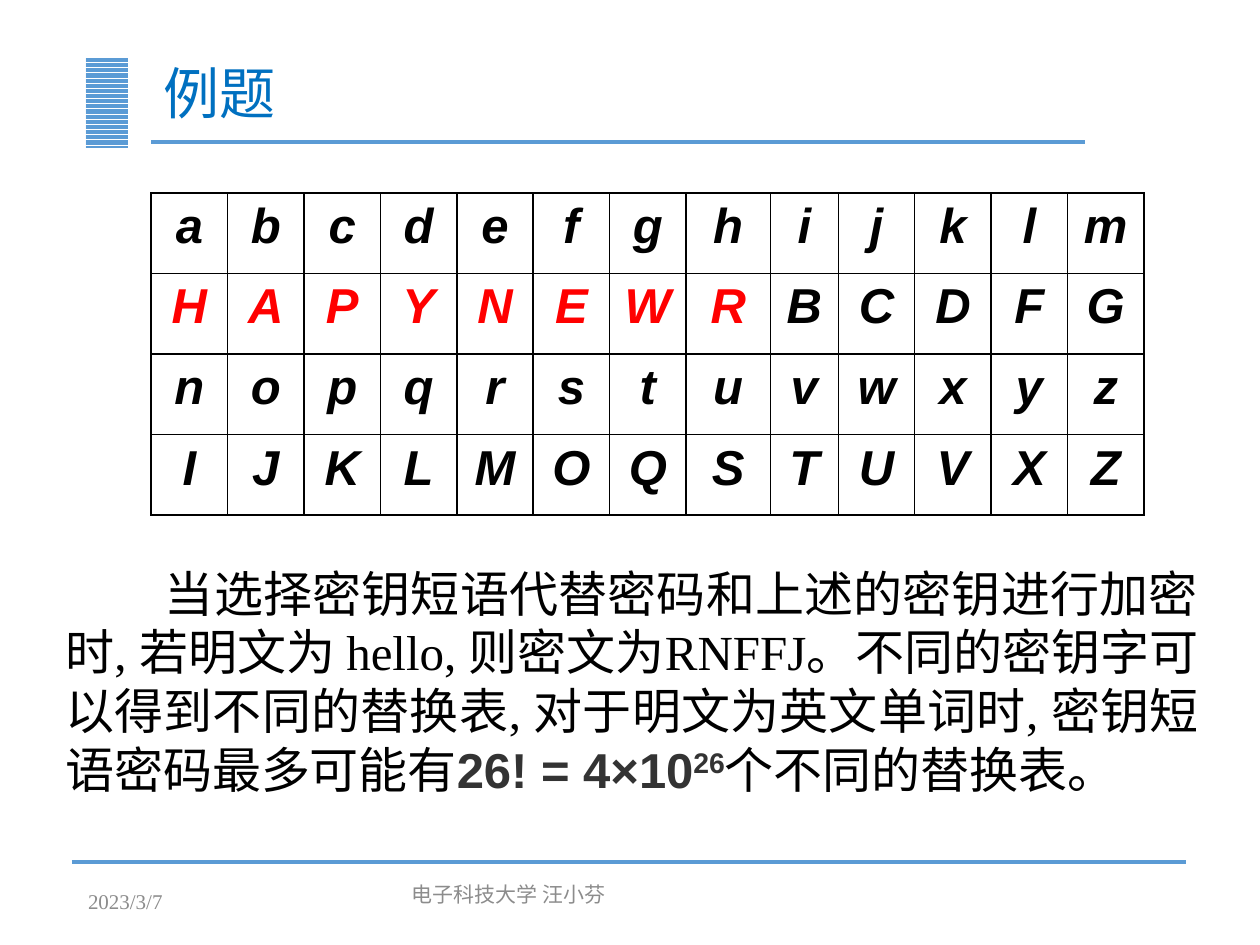
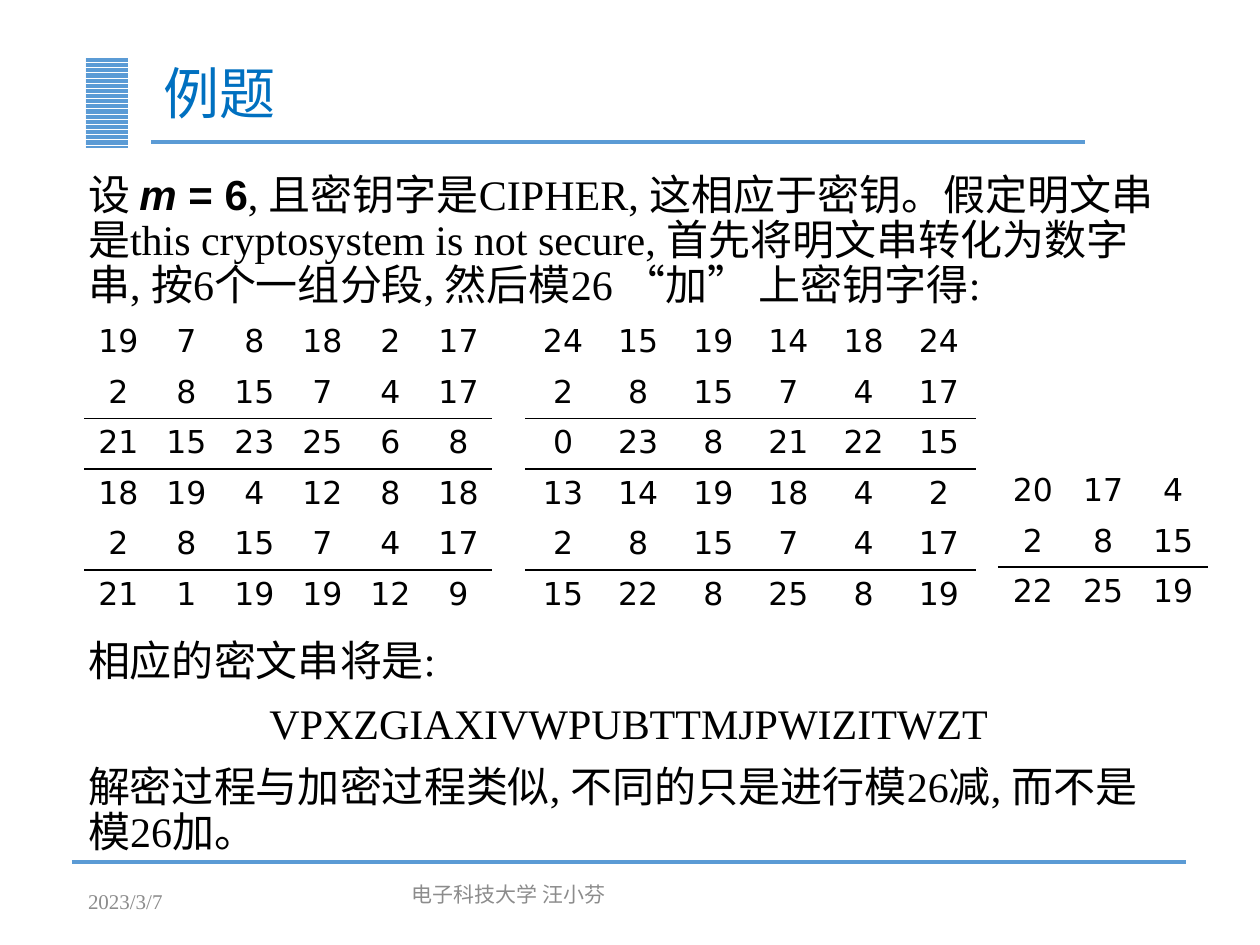
from dataclasses import dataclass, field
from typing import NamedTuple

from lxml import etree
from pptx import Presentation
from pptx.dml.color import RGBColor
from pptx.enum.dml import MSO_PATTERN
from pptx.enum.shapes import MSO_CONNECTOR, MSO_SHAPE
from pptx.enum.text import MSO_ANCHOR, PP_ALIGN
from pptx.oxml.ns import qn
from pptx.util import Inches, Pt

# Colours
BLUE = RGBColor(0x5B, 0x9B, 0xD5)
TITLE = RGBColor(0x00, 0x70, 0xC0)
GREY = RGBColor(0x8C, 0x8C, 0x8C)
DARK = RGBColor(0x33, 0x33, 0x33)
RED = RGBColor(0xFF, 0x00, 0x00)
BLACK = RGBColor(0x00, 0x00, 0x00)
WHITE = RGBColor(0xFF, 0xFF, 0xFF)

# Fonts and enum members
SERIF, SANS, DEJAVU, CJK = "Times New Roman", "Arial", "DejaVu Sans", "Noto Sans CJK SC"
LEFT, CENTER, JUSTIFY = PP_ALIGN.LEFT, PP_ALIGN.CENTER, PP_ALIGN.JUSTIFY
TOP, MIDDLE = MSO_ANCHOR.TOP, MSO_ANCHOR.MIDDLE
RECT, STRAIGHT = MSO_SHAPE.RECTANGLE, MSO_CONNECTOR.STRAIGHT
STRIPES = MSO_PATTERN.DARK_HORIZONTAL
NO_STYLE = "{2D5ABB26-0587-4C30-8999-92F81FD0307C}"


class Box(NamedTuple):
    left: float
    top: float
    width: float
    height: float

    def emu(self) -> list:
        return [Inches(side) for side in self]


class Run(NamedTuple):
    text: str
    size: float
    color: RGBColor = BLACK
    font: str = SERIF
    bold: bool = False
    italic: bool = False
    base: int = 0


@dataclass
class Para:
    runs: list
    align: PP_ALIGN = LEFT
    indent: float = 0
    format: dict = field(default_factory=dict)


@dataclass
class Sums:
    """A grid of numbers, ruled below the given rows."""
    left: float
    top: float
    width: float
    rows: list
    ruled: tuple


# Shared frame
BAND = Box(0.68, 0.45, 0.34, 0.72)
RULES = [(1.2, 8.61, 1.13), (0.57, 9.41, 6.84)]
HEAD = Box(1.2, 0.4, 7.41, 0.73)
AUTHOR = Box(3.17, 6.95, 3.62, 0.4)
DATE = Box(0.6, 6.95, 2.25, 0.4)

# Substitution table
ALPHABET = ["abcdefghijklm", "HAPYNEWRBCDFG", "nopqrstuvwxyz", "IJKLMOQSTUVXZ"]
KEYWORD = "HAPYNEWR"
GRID = Box(1.2, 1.53, 7.88, 2.56)
ODD = {7: 0.67, 8: 0.54}

# Groups of plain text, key and sum
KEY = [2, 8, 15, 7, 4, 17]
SUMS = [
    Sums(0.67, 2.52, 3.24, [
        [19, 7, 8, 18, 2, 17], KEY, [21, 15, 23, 25, 6, 8],
        [18, 19, 4, 12, 8, 18], KEY, [21, 1, 19, 19, 12, 9]], (1, 2, 4)),
    Sums(4.17, 2.52, 3.58, [
        [24, 15, 19, 14, 18, 24], KEY, [0, 23, 8, 21, 22, 15],
        [13, 14, 19, 18, 4, 2], KEY, [15, 22, 8, 25, 8, 19]], (1, 2, 4)),
    Sums(7.92, 3.7, 1.67, [[20, 17, 4], KEY[:3], [22, 25, 19]], (1,)),
]
ROW = 0.4


def add_run(para, run: Run) -> None:
    item = para.add_run()
    item.text = run.text
    style = {"size": Pt(run.size), "name": run.font, "bold": run.bold, "italic": run.italic}
    for name, value in style.items():
        setattr(item.font, name, value)
    item.font.color.rgb = run.color
    props = item.font._element
    props.set("lang", "zh-CN")
    if run.base:
        props.set("baseline", str(run.base * 1000))
    asian = etree.Element(qn("a:ea"), typeface=CJK)
    props.find(qn("a:latin")).addnext(asian)


def add_text(slide, box: Box, paras: list, anchor: MSO_ANCHOR = TOP) -> None:
    frame = slide.shapes.add_textbox(*box.emu()).text_frame
    frame.word_wrap = True
    frame.vertical_anchor = anchor
    for index, item in enumerate(paras):
        para = frame.add_paragraph() if index else frame.paragraphs[0]
        para.alignment = item.align
        for name, value in item.format.items():
            setattr(para, name, value)
        if item.indent:
            props = para._p.get_or_add_pPr()
            props.set("marL", "0")
            props.set("indent", str(Inches(item.indent)))
        for run in item.runs:
            add_run(para, run)


def add_frame(slide) -> None:
    """Band, rules, title and footer."""
    band = slide.shapes.add_shape(RECT, *BAND.emu())
    band.shadow.inherit = False
    band.fill.patterned()
    band.fill.pattern = STRIPES
    band.fill.fore_color.rgb = BLUE
    band.fill.back_color.rgb = WHITE
    band.line.fill.background()
    for start, end, y in RULES:
        rule = slide.shapes.add_connector(
            STRAIGHT, Inches(start), Inches(y), Inches(end), Inches(y))
        rule.line.color.rgb = BLUE
        rule.line.width = Pt(2.25)
        etree.SubElement(rule._element.spPr, qn("a:effectLst"))
    title = Para([Run("例题", 32, TITLE, CJK)], format={"line_spacing": 0.9})
    add_text(slide, HEAD, [title], MIDDLE)
    add_text(slide, AUTHOR, [Para([Run("电子科技大学 汪小芬", 12, GREY)])])
    add_text(slide, DATE, [Para([Run("2023/3/7", 12, GREY)])], MIDDLE)


def add_edges(cell, sides: str) -> None:
    props = cell._tc.get_or_add_tcPr()
    for side in "LRTB":
        edge = etree.SubElement(props, qn(f"a:ln{side}"), w=str(Pt(1)))
        if side in sides:
            fill = etree.SubElement(edge, qn("a:solidFill"))
            etree.SubElement(fill, qn("a:srgbClr"), val=str(BLACK))
        else:
            etree.SubElement(edge, qn("a:noFill"))
    cell.fill.background()


def add_grid(slide, box: Box, widths: list, runs: list, edges: list) -> None:
    """Draw rows of runs; edges names the ruled sides of each row."""
    shape = slide.shapes.add_table(len(runs), len(widths), *box.emu())
    table = shape.table
    table.first_row = table.horz_banding = False
    table._tbl.tblPr.find(qn("a:tableStyleId")).text = NO_STYLE
    for column, width in zip(table.columns, widths):
        column.width = Inches(width)
    for row, line, sides in zip(table.rows, runs, edges):
        row.height = Inches(box.height / len(runs))
        for cell, run in zip(row.cells, line):
            para = cell.text_frame.paragraphs[0]
            para.alignment = CENTER
            add_run(para, run)
            add_edges(cell, sides)


def add_sums(slide, sums: Sums) -> None:
    count, size = len(sums.rows), len(sums.rows[0])
    box = Box(sums.left, sums.top, sums.width, ROW * count)
    runs = [[Run(str(value), 18, font=DEJAVU) for value in row] for row in sums.rows]
    edges = [("T" if index - 1 in sums.ruled else "") + ("B" if index in sums.ruled else "")
             for index in range(count)]
    add_grid(slide, box, [sums.width / size] * size, runs, edges)


def phrase_slide(slide) -> None:
    add_frame(slide)
    count = len(ALPHABET[0])
    even = (GRID.width - sum(ODD.values())) / (count - len(ODD))
    widths = [ODD.get(index, even) for index in range(count)]
    runs = [[Run(char, 28, RED if char in KEYWORD and row == 1 else BLACK, SANS, True, True)
             for char in line] for row, line in enumerate(ALPHABET)]
    add_grid(slide, GRID, widths, runs, ["LRTB"] * len(runs))
    text = [
        Run("当选择密钥短语代替密码和上述的密钥进行加密时, 若明文为 hello, "
            "则密文为RNFFJ。不同的密钥字可以得到不同的替换表, "
            "对于明文为英文单词时, 密钥短语密码最多可能有", 28),
        Run("26! = 4×10", 28, DARK, SANS, True),
        Run("26", 28, DARK, SANS, True, base=30),
        Run("个不同的替换表。", 28),
    ]
    add_text(slide, Box(0.42, 4.42, 9.19, 2.08), [Para(text, JUSTIFY, 0.79)])


def sums_slide(slide) -> None:
    add_frame(slide)
    tight = {"line_spacing": 0.9}
    spaced = tight | {"space_before": Pt(10)}
    below = tight | {"space_before": Pt(189)}  # leaves room for the sums
    intro = [
        Run("设 ", 24),
        Run("m", 24, font=SANS, bold=True, italic=True),
        Run(" = 6", 24, font=SANS, bold=True),
        Run(", 且密钥字是CIPHER, 这相应于密钥。假定明文串是this cryptosystem "
            "is not secure, 首先将明文串转化为数字串, 按6个一组分段, "
            "然后模26 “加” 上密钥字得:", 24),
    ]
    add_text(slide, Box(0.6, 1.33, 8.78, 5.42), [
        Para(intro, format=tight),
        Para([Run("相应的密文串将是:", 24)], format=below),
        Para([Run("VPXZGIAXIVWPUBTTMJPWIZITWZT", 24)], CENTER, format=spaced),
        Para([Run("解密过程与加密过程类似, 不同的只是进行模26减, 而不是模26加。", 24)],
             format=spaced),
    ])
    for sums in SUMS:
        add_sums(slide, sums)


def main() -> None:
    deck = Presentation()
    deck.slide_width, deck.slide_height = Inches(10), Inches(7.5)
    blank = deck.slide_layouts[6]
    for build in (phrase_slide, sums_slide):
        build(deck.slides.add_slide(blank))
    deck.save("out.pptx")


if __name__ == "__main__":
    main()
